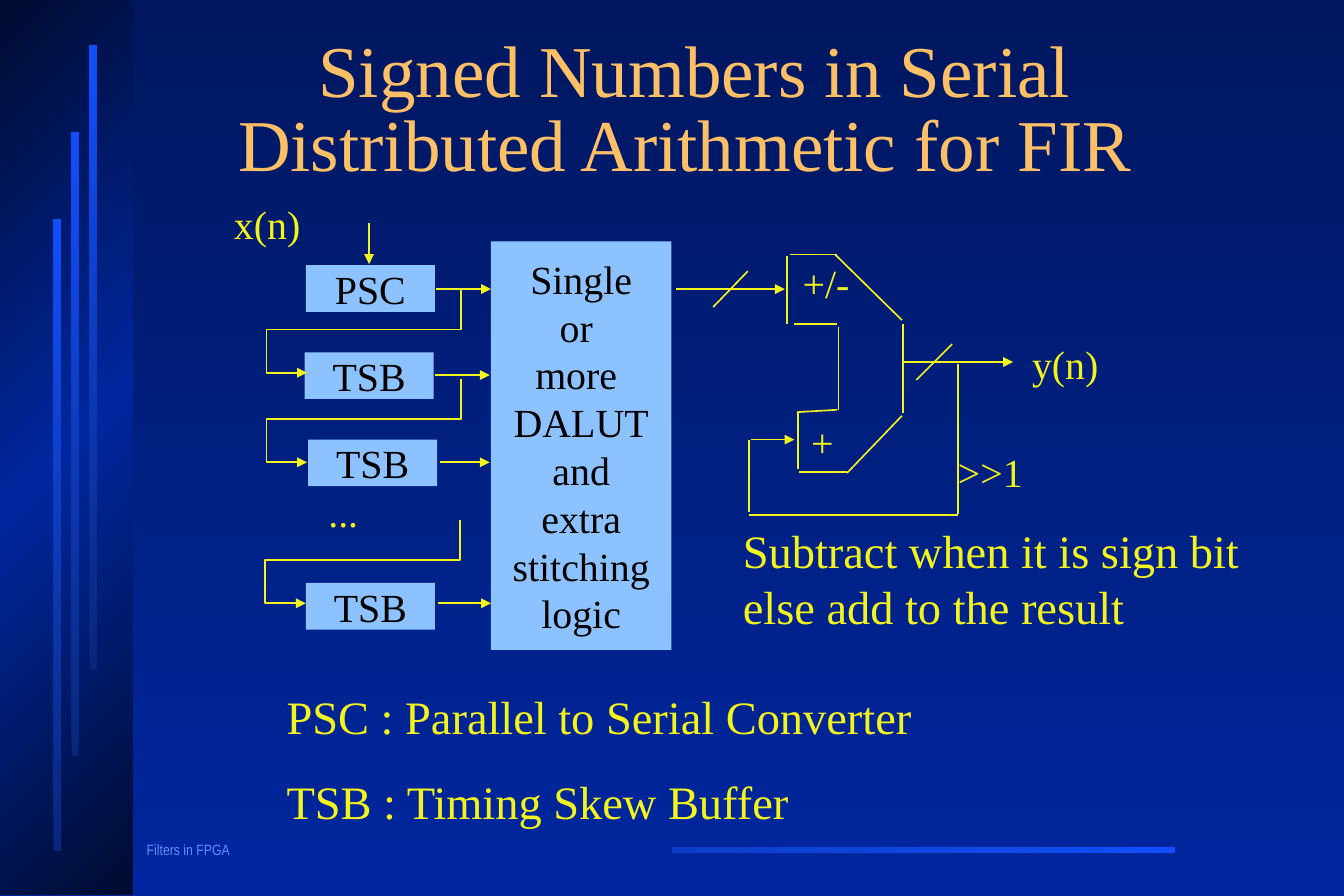
from lxml.etree import SubElement
from pptx import Presentation
from pptx.dml.color import RGBColor
from pptx.enum.shapes import MSO_CONNECTOR as Conn, MSO_SHAPE as Kind
from pptx.enum.text import MSO_ANCHOR as Anchor, MSO_AUTO_SIZE as Fit, PP_ALIGN as Align
from pptx.oxml.ns import qn
from pptx.util import Inches, Pt


class Theme:
    serif, sans = "Times New Roman", "Arial Narrow"
    gold, yellow, sky, ink, foot = "FEC066", "F3F31D", "8CC2FF", "000000", "618FFD"
    back = [(0, "00175F"), (100, "00279F")]
    panel = [(0, "000B2F"), (50, "00279F"), (100, "000B2F")]
    bar = [(0, "08277C"), (100, "114FFB")]
    rule = [(0, "114FFB"), (100, "0D3EC8")]
    head, large, body, small = 44, 28, 24, 9


# Content
title = "Signed Numbers in Serial Distributed Arithmetic for FIR "
footer = "Filters in FPGA"
lookup = ["Single", "or ", "more ", "DALUT", "and", "extra", "stitching", "logic"]
blocks = [  # text, left, top
    ("PSC", 2.56, 2.22), ("TSB", 2.55, 2.95), ("TSB", 2.58, 3.68), ("TSB", 2.56, 4.88)]
labels = [  # lines, box, size
    (["+/-"], (6.62, 2.12, 0.95, 0.5), Theme.body),
    (["+"], (6.69, 3.45, 0.42, 0.5), Theme.body),
    (["y(n)"], (8.54, 2.79, 0.85, 0.5), Theme.body),
    (["..."], (2.65, 4.03, 1.08, 0.5), Theme.body),
    ([">>1"], (7.92, 3.7, 0.81, 0.5), Theme.body),
    (["Subtract when it is sign bit else add to the result"],
     (6.12, 4.32, 4.74, 1.04), Theme.large),
    (["PSC : Parallel to Serial Converter", "TSB : Timing Skew Buffer"],
     (2.3, 5.71, 6.72, 1.28), Theme.large)]
adder = [  # x1, y1, x2, y2
    (6.61, 2.13, 7.01, 2.13), (6.59, 2.14, 6.59, 2.71), (6.65, 2.71, 7.01, 2.71),
    (7.02, 2.74, 7.02, 3.43), (7.01, 3.43, 6.67, 3.45), (6.68, 3.45, 6.68, 3.93),
    (6.69, 3.95, 7.09, 3.95), (6.99, 2.13, 7.55, 2.68), (7.56, 2.71, 7.56, 3.46),
    (7.09, 3.96, 7.55, 3.48)]
loop = [(8.02, 3.05, 8.02, 4.3), (8.02, 4.31, 6.27, 4.31), (6.27, 4.29, 6.27, 3.68)]
ticks = [(7.97, 2.88, 7.67, 3.18), (6.26, 2.27, 5.97, 2.57)]
arrows = [
    (7.56, 3.03, 8.48, 3.03), (6.29, 3.68, 6.65, 3.68), (5.66, 2.42, 6.57, 2.42),
    (3.09, 1.87, 3.09, 2.21), (3.65, 2.42, 4.11, 2.42), (3.64, 3.14, 4.1, 3.14),
    (3.68, 3.87, 4.1, 3.87), (3.67, 5.05, 4.11, 5.05)]
feeds = [(3.86, 2.42), (3.86, 3.17), (3.85, 4.35)]
bend = [(0, 0.34), (-1.63, 0.34), (-1.63, 0.7), (-1.29, 0.7)]


def rgb(code):
    return RGBColor.from_string(code)


def blend(fill, root, stops, angle):
    fill.gradient()
    fill.gradient_angle = 360 - angle
    group = root.xpath(".//a:gsLst")[0]
    for old in list(group):
        group.remove(old)
    for place, code in stops:
        stop = SubElement(group, qn("a:gs"), pos=str(place * 1000))
        SubElement(stop, qn("a:srgbClr"), val=code)


def write(frame, lines, size, color, font=Theme.serif, align=Align.LEFT,
          anchor=Anchor.TOP, gap=0, pitch=None, wrap=True):
    frame.word_wrap = wrap
    frame.auto_size = Fit.NONE
    frame.vertical_anchor = anchor
    for i, line in enumerate(lines):
        para = frame.add_paragraph() if i else frame.paragraphs[0]
        para.alignment = align
        para.space_before = Pt(gap if i else 0)
        if pitch:
            para.line_spacing = pitch
        run = para.add_run()
        run.text = line
        run.font.size, run.font.name = Pt(size), font
        run.font.color.rgb = rgb(color)


def rect(box):
    shape = slide.shapes.add_shape(Kind.RECTANGLE, *map(Inches, box))
    shape.shadow.inherit = False
    shape.line.fill.background()
    return shape


def node(lines, box):
    shape = rect(box)
    shape.fill.solid()
    shape.fill.fore_color.rgb = rgb(Theme.sky)
    write(shape.text_frame, lines, Theme.body, Theme.ink, align=Align.CENTER,
          anchor=Anchor.MIDDLE, wrap=False)


def label(lines, box, size, color=Theme.yellow, **more):
    text = slide.shapes.add_textbox(*map(Inches, box))
    write(text.text_frame, lines, size, color, **more)


def stroke(shape, arrow):
    shape.line.color.rgb = rgb(Theme.yellow)
    shape.line.width = Pt(1)
    if arrow:
        SubElement(shape.element.xpath(".//a:ln")[0], qn("a:tailEnd"), type="triangle")


def wire(ends, arrow=False):
    link = slide.shapes.add_connector(Conn.STRAIGHT, *map(Inches, ends))
    stroke(link, arrow)
    SubElement(link.element.spPr, qn("a:effectLst"))


deck = Presentation()
deck.slide_width, deck.slide_height = Inches(11.25), Inches(7.5)
slide = deck.slides.add_slide(deck.slide_layouts[5])

# Backdrop
blend(slide.background.fill, slide.element, Theme.back, 90)
trim = [((5.63, 7.09, 4.21, 0.05), Theme.rule), ((0, 0, 1.11, 7.49), Theme.panel)]
trim += [((0.45 + 0.15 * i, 1.84 - 0.73 * i, 0.06, 5.22 if i else 5.28), Theme.bar)
         for i in range(3)]
for box, stops in trim:
    shape = rect(box)
    blend(shape.fill, shape.element, stops, 225)
label([footer], (1.13, 7, 1.5, 0.23), Theme.small, Theme.foot, font=Theme.sans, pitch=0.9)

# Title
head = slide.shapes.title
head.left, head.top, head.width, head.height = map(Inches, (1.33, 0.21, 8.97, 1.46))
write(head.text_frame, [title], Theme.head, Theme.gold, align=Align.CENTER,
      anchor=Anchor.MIDDLE, pitch=0.85)

# Blocks
for name, left, top in blocks:
    node([name], (left, top, 1.08, 0.39))
node(lookup, (4.11, 2.02, 1.51, 3.42))

# Wires
for ends in adder + loop + ticks:
    wire(ends)
for ends in arrows:
    wire(ends, True)
for x, y in feeds:
    pen = slide.shapes.build_freeform(Inches(x), Inches(y))
    pen.add_line_segments([(Inches(x + dx), Inches(y + dy)) for dx, dy in bend], close=False)
    feed = pen.convert_to_shape()
    feed.shadow.inherit = False
    feed.fill.background()
    stroke(feed, True)

# Labels
for lines, box, size in labels:
    label(lines, box, size, gap=17.5)
label(["x(n)"], (1.86, 1.62, 0.75, 0.5), Theme.body, wrap=False)

deck.save("out.pptx")
